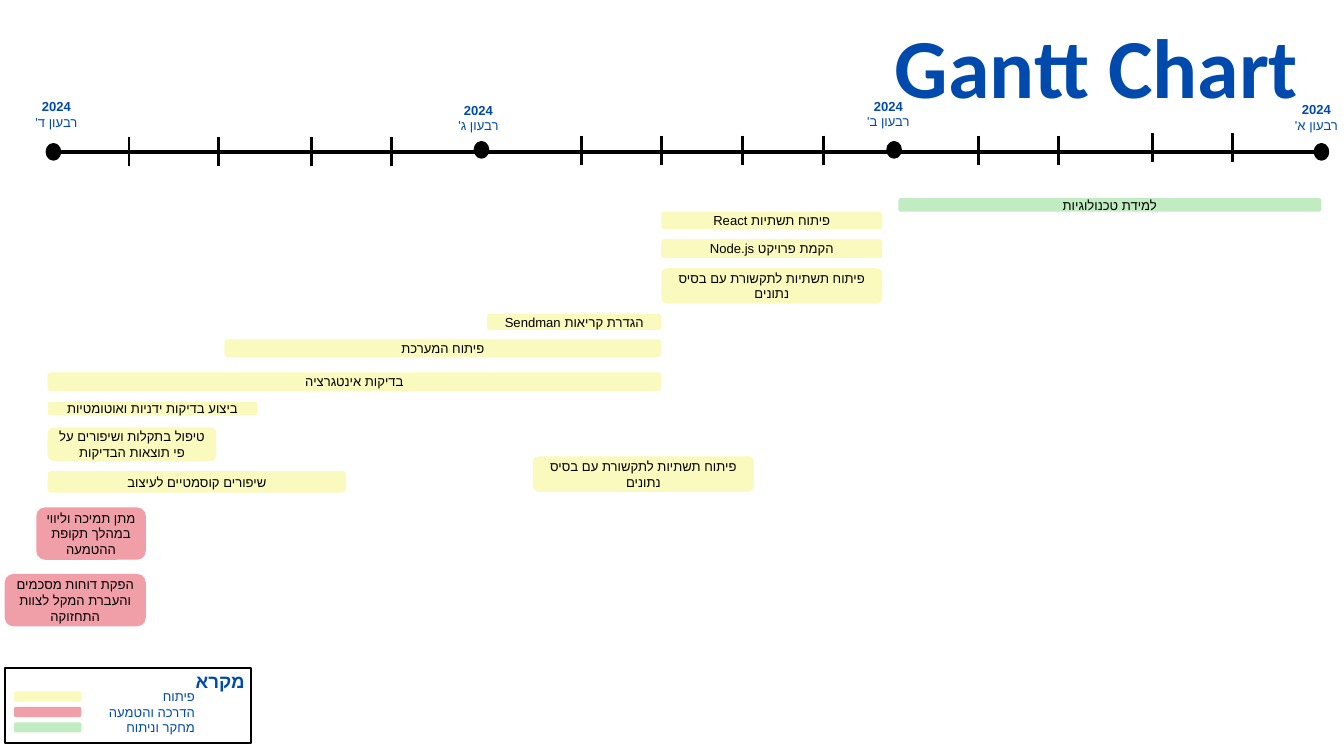
from lxml.etree import SubElement
from pptx import Presentation
from pptx.dml.color import RGBColor
from pptx.enum.shapes import MSO_CONNECTOR, MSO_SHAPE
from pptx.enum.text import MSO_ANCHOR, MSO_AUTO_SIZE, PP_ALIGN
from pptx.oxml.ns import qn
from pptx.util import Inches, Pt

BLUE, BLACK = "004AAD", "000000"
DEVELOPMENT, TRAINING, RESEARCH = "FAFABE", "F09EA7", "C1EBC0"

# Quarter name, label left, label top, milestone left, milestone top
QUARTERS = [
    ("רבעון א'", 19.08, 1.46, 19.58, 2.16),
    ("רבעון ב'", 12.71, 1.41, 13.22, 2.13),
    ("רבעון ג'", 6.61, 1.47, 7.08, 2.13),
    ("רבעון ד'", 0.33, 1.42, 0.71, 2.16),
]

# Tick top: tick positions along the axis
TICKS = {
    2.04: [1.92, 3.25, 4.63, 5.83],
    2.02: [8.65, 9.84, 11.05, 12.25, 14.56, 15.75],
    1.98: [17.15, 18.34],
}

# Task, colour, left, top, width, height
TASKS = [
    ("למידת טכנולוגיות", RESEARCH, 13.37, 2.95, 6.29, 0.2),
    ("פיתוח תשתיות React", DEVELOPMENT, 9.84, 3.15, 3.29, 0.26),
    ("הקמת פרויקט Node.js", DEVELOPMENT, 9.84, 3.56, 3.29, 0.28),
    ("פיתוח תשתיות לתקשורת עם בסיס נתונים", DEVELOPMENT, 9.84, 3.99, 3.29, 0.53),
    ("הגדרת קריאות Sendman", DEVELOPMENT, 7.25, 4.67, 2.59, 0.24),
    ("פיתוח המערכת", DEVELOPMENT, 3.34, 5.05, 6.5, 0.26),
    ("בדיקות אינטגרציה", DEVELOPMENT, 0.71, 5.54, 9.13, 0.28),
    ("ביצוע בדיקות ידניות ואוטומטיות", DEVELOPMENT, 0.71, 5.98, 3.12, 0.2),
    ("טיפול בתקלות ושיפורים על פי תוצאות הבדיקות", DEVELOPMENT, 0.71, 6.36, 2.51, 0.5),
    ("פיתוח תשתיות לתקשורת עם בסיס נתונים", DEVELOPMENT, 7.93, 6.79, 3.29, 0.53),
    ("שיפורים קוסמטיים לעיצוב", DEVELOPMENT, 0.71, 7.01, 4.44, 0.32),
    ("מתן תמיכה וליווי במהלך תקופת ההטמעה", TRAINING, 0.54, 7.55, 1.63, 0.78),
    ("הפקת דוחות מסכמים והעברת המקל לצוות התחזוקה", TRAINING, 0.07, 8.54, 2.1, 0.78),
]

LEGEND = [("פיתוח", DEVELOPMENT), ("הדרכה והטמעה", TRAINING), ("מחקר וניתוח", RESEARCH)]


def color(value):
    return RGBColor.from_string(value)


def format_paragraph(paragraph, text, size=14, fill=BLUE, bold=False,
                     align=PP_ALIGN.CENTER, font_name="Arial"):
    """Fill a right-to-left paragraph, with the same font for Hebrew and Latin."""
    paragraph.text = text
    paragraph.alignment = align
    paragraph._p.get_or_add_pPr().set("rtl", "1")
    font = paragraph.font
    font.size = Pt(size)
    font.bold = bold
    font.color.rgb = color(fill)
    font.name = font_name
    SubElement(font._element, qn("a:cs")).set("typeface", font_name)


def add_text(slide, left, top, width, height, anchor=MSO_ANCHOR.TOP):
    shape = slide.shapes.add_textbox(Inches(left), Inches(top), Inches(width), Inches(height))
    frame = shape.text_frame
    frame.word_wrap = True
    frame.auto_size = MSO_AUTO_SIZE.SHAPE_TO_FIT_TEXT
    frame.vertical_anchor = anchor
    return frame


def add_box(slide, kind, left, top, width, height, fill=None, line_width=0):
    shape = slide.shapes.add_shape(kind, Inches(left), Inches(top), Inches(width), Inches(height))
    shape.shadow.inherit = False
    if fill:
        shape.fill.solid()
        shape.fill.fore_color.rgb = color(fill)
    else:
        shape.fill.background()
    if line_width:
        shape.line.color.rgb = color(BLACK)
        shape.line.width = Pt(line_width)
    else:
        shape.line.fill.background()
    return shape


def add_line(slide, start_x, start_y, end_x, end_y, width):
    line = slide.shapes.add_connector(MSO_CONNECTOR.STRAIGHT, Inches(start_x), Inches(start_y),
                                      Inches(end_x), Inches(end_y))
    line.line.color.rgb = color(BLACK)
    line.line.width = Pt(width)
    SubElement(line._element.spPr, qn("a:effectLst"))


def add_title(slide):
    frame = add_text(slide, 6.52, 0.46, 12.8, 1.26)
    frame.margin_left = frame.margin_right = frame.margin_top = frame.margin_bottom = 0
    paragraph = frame.paragraphs[0]
    format_paragraph(paragraph, "Gantt Chart", 90, bold=True, align=PP_ALIGN.RIGHT,
                     font_name="Calibri")
    paragraph.line_spacing = Pt(90)


def add_timeline(slide):
    add_line(slide, 0.76, 2.26, 19.66, 2.26, 4.5)
    for top, positions in TICKS.items():
        for x in positions:
            add_line(slide, x, top, x, top + 0.43, 3)
    for name, label_left, label_top, dot_left, dot_top in QUARTERS:
        add_box(slide, MSO_SHAPE.OVAL, dot_left, dot_top, 0.17, 0.2, BLACK, 4.5)
        frame = add_text(slide, label_left, label_top, 1.02, 0.57)
        format_paragraph(frame.paragraphs[0], "2024", bold=True)
        format_paragraph(frame.add_paragraph(), name)


def add_task(slide, name, fill, left, top, width, height):
    bar = add_box(slide, MSO_SHAPE.ROUNDED_RECTANGLE, left, top, width, height, fill)
    frame = bar.text_frame
    frame.word_wrap = True
    frame.vertical_anchor = MSO_ANCHOR.MIDDLE
    format_paragraph(frame.paragraphs[0], name, fill=BLACK)


def add_legend(slide):
    add_box(slide, MSO_SHAPE.RECTANGLE, 0.08, 9.94, 3.65, 1.12, line_width=2)
    heading = add_text(slide, 2.57, 9.94, 1.17, 0.4, MSO_ANCHOR.MIDDLE)
    format_paragraph(heading.paragraphs[0], "מקרא", 20, bold=True, align=PP_ALIGN.RIGHT)
    for index, (name, fill) in enumerate(LEGEND):
        offset = index * 0.23
        add_box(slide, MSO_SHAPE.ROUNDED_RECTANGLE, 0.21, 10.29 + offset, 1, 0.15, fill)
        label = add_text(slide, 1.14, 10.18 + offset, 1.86, 0.37, MSO_ANCHOR.MIDDLE)
        format_paragraph(label.paragraphs[0], name, align=PP_ALIGN.RIGHT)


def main():
    presentation = Presentation()
    presentation.slide_width = Inches(20)
    presentation.slide_height = Inches(11.25)
    slide = presentation.slides.add_slide(presentation.slide_layouts[6])

    add_title(slide)
    add_timeline(slide)
    for task in TASKS:
        add_task(slide, *task)
    add_legend(slide)

    presentation.save("out.pptx")


if __name__ == "__main__":
    main()
